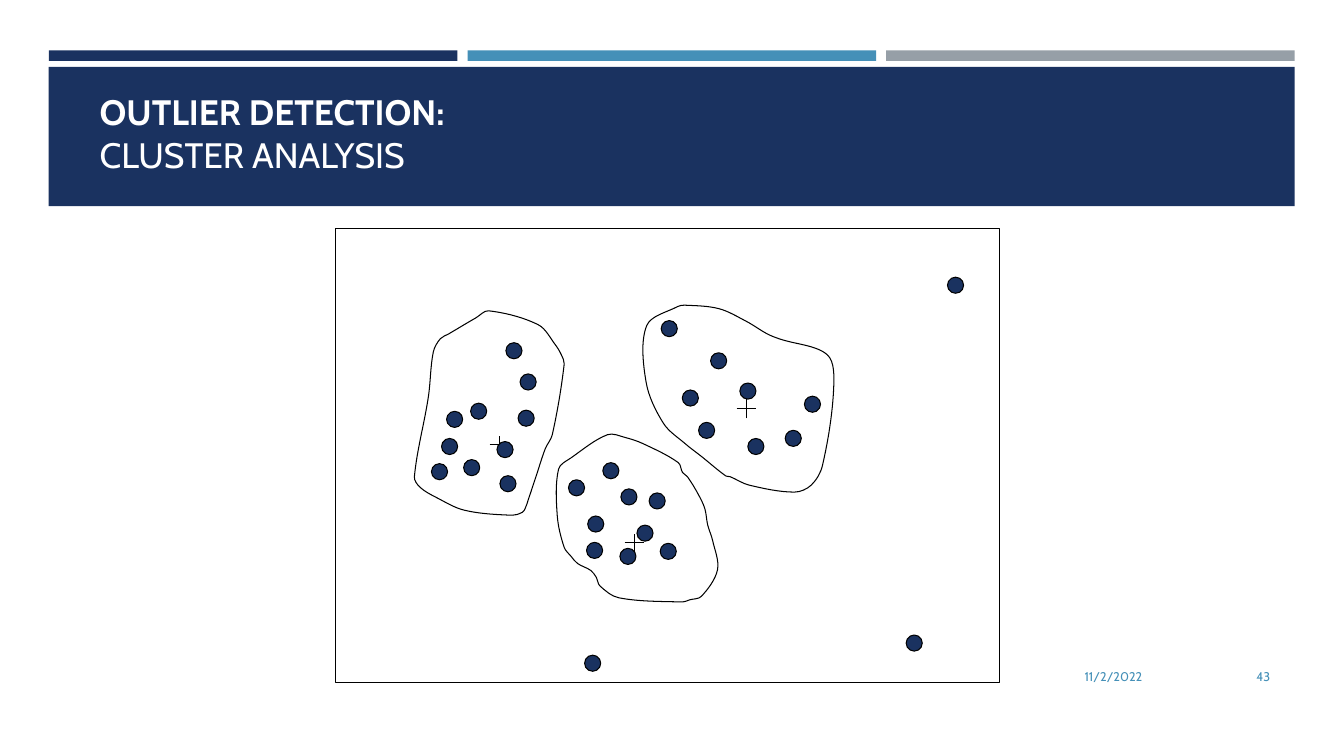
import math

from lxml import etree
from pptx import Presentation
from pptx import util as u
from pptx.dml.color import RGBColor
from pptx.enum import shapes as sh, text as tx
from pptx.oxml import ns

HUES = {"navy": "1A3260", "blue": "4590B8", "gray": "969FA7",
        "black": "000000", "white": "FFFFFF"}
FONT = "Cabin"
DOT = 11.5   # dot diameter
ARM = 6.8    # half length of a centroid cross

# Top left corners of the dots
DOTS = {
    "outliers": [(647.3, 453.6), (417.6, 468), (676.8, 198)],
    "left": [(331.2, 328.3), (315.4, 313.2), (355, 315.4), (336.2, 288),
             (308.2, 331.2), (319, 293.8), (357.1, 339.8), (370.1, 293),
             (371.5, 267.1), (361.4, 244.8)],
    "right": [(507.6, 252), (499, 301.7), (528.5, 273.6), (487.4, 278.6),
              (574.6, 283), (560.9, 307.4), (534.2, 313.2), (472.3, 229)],
    "middle": [(406.1, 342.7), (463.7, 352.1), (442.8, 391.7), (455, 375.1),
               (419.8, 368.6), (419, 387.4), (430.6, 330.5), (443.5, 349.2),
               (471.6, 388.1)],
}

# Centroids of the clusters
CORES = [(453, 387.9), (533, 292.1), (356.6, 318)]

# Points that each cluster outline passes through
RINGS = {
    "right": [(591, 253.5), (595.5, 277), (587.5, 332.5), (579.5, 346.5),
              (567.5, 351.5), (535, 346.5), (521.5, 340.5), (518.5, 340),
              (501, 326), (489.5, 317), (474, 302.5), (461.5, 273),
              (462, 232.5), (484, 219), (489, 218), (513.5, 220.5),
              (533, 229.5), (548, 238.5), (556.5, 242)],
    "middle": [(426, 412.5), (422, 407.5), (412.5, 402.5), (408, 397.5),
               (403, 391), (398, 368), (399, 335), (408, 327),
               (434, 310.5), (446.5, 312.5), (459.5, 317), (484.5, 330.5),
               (487.5, 337.5), (491, 340.5), (499, 353.5), (503.5, 363.5),
               (505.5, 375), (509, 386), (512.5, 407), (501, 426),
               (492.5, 428.5), (487.5, 430), (442, 427), (428.5, 418.5)],
    "left": [(389.5, 320.5), (383, 340), (377.5, 356.5), (375, 363.5),
             (373, 366), (366, 368), (332, 364.5), (312, 355.5),
             (300, 348), (296, 340.5), (306, 283.5), (309.5, 251.5),
             (314.5, 242), (320.5, 238.5), (334, 230.5), (340, 227),
             (349, 222), (384.5, 232), (396.5, 246), (401, 253.5),
             (403, 260), (394.5, 310.5)],
}


def hue(name):
    return RGBColor.from_string(HUES[name])


def style(shape, fill=None, line=None):
    shape.shadow.inherit = False
    if fill:
        shape.fill.solid()
        shape.fill.fore_color.rgb = hue(fill)
    else:
        shape.fill.background()
    if line:
        shape.line.color.rgb = hue(line)
        shape.line.width = u.Pt(0.75)
    else:
        shape.line.fill.background()


def add_form(slide, kind, box, fill=None, line=None):
    shape = slide.shapes.add_shape(kind, *map(u.Pt, box))
    style(shape, fill, line)


def add_line(slide, *ends):
    line = slide.shapes.add_connector(sh.MSO_CONNECTOR.STRAIGHT,
                                      *map(u.Pt, ends))
    line.line.color.rgb = hue("black")
    line.line.width = u.Pt(0.75)
    etree.SubElement(line._element.spPr, ns.qn("a:effectLst"))


def add_cross(slide, x, y):
    add_line(slide, x - ARM, y - 0.5, x + ARM, y - 0.5)
    add_line(slide, x, y + ARM, x, y - ARM)


def slope(spots, i):
    """Unit-like tangent of a closed outline at spot i."""
    last, here, next_ = spots[i - 1], spots[i], spots[(i + 1) % len(spots)]
    span = math.dist(last, here) + math.dist(here, next_)
    return [(b - a) / span for a, b in zip(last, next_)]


def add_ring(slide, points):
    spots = [(u.Pt(x), u.Pt(y)) for x, y in points]
    pen = slide.shapes.build_freeform(*spots[0])
    pen.add_line_segments(spots[1:] + spots[:1], close=True)
    ring = pen.convert_to_shape()
    style(ring, line="black")
    # Turn each straight segment into a smooth curve
    for i, seg in enumerate(ring._element.xpath(".//a:lnTo")):
        j = (i + 1) % len(spots)
        start, end = spots[i], spots[j]
        third = math.dist(start, end) / 3
        curve = [[p + t * third for p, t in zip(start, slope(spots, i))],
                 [p - t * third for p, t in zip(end, slope(spots, j))], end]
        seg.tag = ns.qn("a:cubicBezTo")
        for old in list(seg):
            seg.remove(old)
        for x, y in curve:
            etree.SubElement(seg, ns.qn("a:pt"), x=str(round(x - ring.left)),
                             y=str(round(y - ring.top)))


def add_text(slide, words, box, size, color, anchor, align):
    frame = slide.shapes.add_textbox(*map(u.Pt, box)).text_frame
    frame.word_wrap = True
    frame.vertical_anchor = anchor
    para = frame.paragraphs[0]
    para.text = words
    para.alignment = align
    for run in para.runs:
        run.font.name = FONT
        run.font.size = u.Pt(size)
        run.font.color.rgb = hue(color)
    return frame


def main():
    deck = Presentation()
    deck.slide_width, deck.slide_height = u.Pt(960), u.Pt(540)
    slide = deck.slides.add_slide(deck.slide_layouts[6])
    rect = sh.MSO_SHAPE.RECTANGLE

    # Header bars and banner
    for i, color in enumerate(["navy", "blue", "gray"]):
        add_form(slide, rect, (35 + 299 * i, 36, 291.8, 7.5), color)
    add_form(slide, rect, (34.8, 47.8, 890, 99.4), "navy")

    # Title
    title = add_text(slide, "OUTLIER DETECTION:\vCLUSTER ANALYSIS",
                     (64.1, 78.5, 342, 48.2), 25.2, "white",
                     tx.MSO_ANCHOR.BOTTOM, tx.PP_ALIGN.LEFT)
    title.margin_top, title.margin_bottom = u.Pt(0), u.Pt(1.6)
    title.paragraphs[0].runs[0].font.bold = True

    # Scatter plot
    add_form(slide, rect, (240, 163.4, 474, 324), line="black")
    for core in CORES:
        add_cross(slide, *core)
    for group in DOTS.values():
        for x, y in group:
            add_form(slide, sh.MSO_SHAPE.FLOWCHART_CONNECTOR,
                     (x, y, DOT, DOT), "navy", "black")
    for points in RINGS.values():
        add_ring(slide, points)

    # Footer
    for words, left, width in [("11/2/2022", 599, 224), ("43", 831.6, 82.8)]:
        add_text(slide, words, (left, 468.7, width, 28.8), 9, "blue",
                 tx.MSO_ANCHOR.MIDDLE, tx.PP_ALIGN.RIGHT)

    deck.save("out.pptx")


if __name__ == "__main__":
    main()
